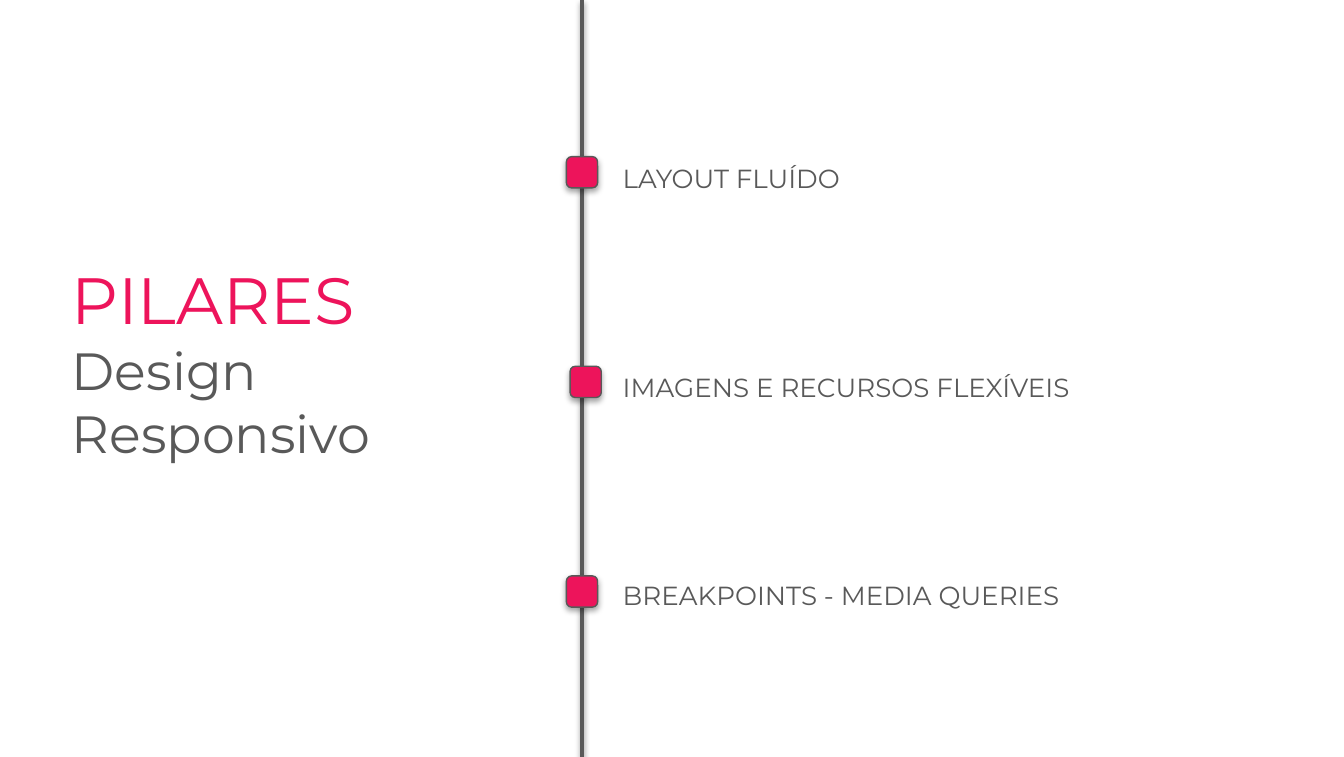
import pptx
import pptx.dml.color
import pptx.enum.shapes
import pptx.enum.text
import pptx.oxml
import pptx.oxml.ns
import pptx.util
from pptx.util import Cm

PINK = "ED145B"
GRAY = "595959"
FONT = "Montserrat"
PILLARS = ["LAYOUT FLUÍDO", "IMAGENS E RECURSOS FLEXÍVEIS", "BREAKPOINTS - MEDIA QUERIES"]


def color(hex_value):
    return pptx.dml.color.RGBColor.from_string(hex_value)


def style_line(line, width):
    line.color.rgb = color(GRAY)
    line.width = pptx.util.Pt(width)


def add_shadow(shape, distance, opacity):
    """Add a soft black shadow straight below; distance in points, opacity in percent."""
    blur, offset = pptx.util.Pt(3.1), pptx.util.Pt(distance)
    effect = pptx.oxml.parse_xml(
        f'<a:effectLst {pptx.oxml.ns.nsdecls("a")}>'
        f'<a:outerShdw blurRad="{blur}" dist="{offset}" dir="5400000" rotWithShape="0">'
        f'<a:srgbClr val="000000"><a:alpha val="{opacity * 1000}"/></a:srgbClr>'
        "</a:outerShdw></a:effectLst>"
    )
    shape._element.spPr.append(effect)


def add_text(slide, left, top, width, height, lines):
    """Add a text box with one paragraph for each (text, size, colour)."""
    text_frame = slide.shapes.add_textbox(left, top, width, height).text_frame
    text_frame.word_wrap = True
    text_frame.text = "\n".join(text for text, _, _ in lines)
    for paragraph, (_, size, hex_value) in zip(text_frame.paragraphs, lines):
        font = paragraph.runs[0].font
        font.name = FONT
        font.size = pptx.util.Pt(size)
        font.color.rgb = color(hex_value)
    return text_frame


def add_title(slide, left, top, width, height):
    add_text(slide, left, top, width, height,
             [("PILARES", 35, PINK), ("Design Responsivo", 28, GRAY)])


def add_timeline(slide, center, top, height):
    axis = slide.shapes.add_connector(
        pptx.enum.shapes.MSO_CONNECTOR.STRAIGHT, center, top, center, top + height)
    style_line(axis.line, 2)
    add_shadow(axis, 1.6, 38)

    size = Cm(0.59)
    pitch = Cm(3.96)
    for index, shift in enumerate([0, Cm(0.07), 0]):
        marker = slide.shapes.add_shape(
            pptx.enum.shapes.MSO_SHAPE.ROUNDED_RECTANGLE,
            center - size // 2 + shift, top + Cm(2.96) + index * pitch, size, size)
        marker.fill.solid()
        marker.fill.fore_color.rgb = color(PINK)
        style_line(marker.line, 0.75)
        add_shadow(marker, 1.8, 35)


def add_pillar_names(slide, left, top, width, height):
    text_frame = add_text(slide, left, top, width, height,
                          [(name, 14, GRAY) for name in PILLARS])
    for paragraph in text_frame.paragraphs:
        paragraph.alignment = pptx.enum.text.PP_ALIGN.JUSTIFY
        paragraph.line_spacing = 1.5
        paragraph.space_after = pptx.util.Pt(86.4)


def main():
    presentation = pptx.Presentation()
    presentation.slide_width = Cm(25.4)
    presentation.slide_height = Cm(14.3)
    slide = presentation.slides.add_slide(presentation.slide_layouts[6])
    add_pillar_names(slide, Cm(11.52), Cm(2.65), Cm(11.35), Cm(9.02))
    add_title(slide, Cm(1.11), Cm(4.78), Cm(8.4), Cm(2.95))
    add_timeline(slide, Cm(11), 0, presentation.slide_height)
    presentation.save("out.pptx")


if __name__ == "__main__":
    main()
